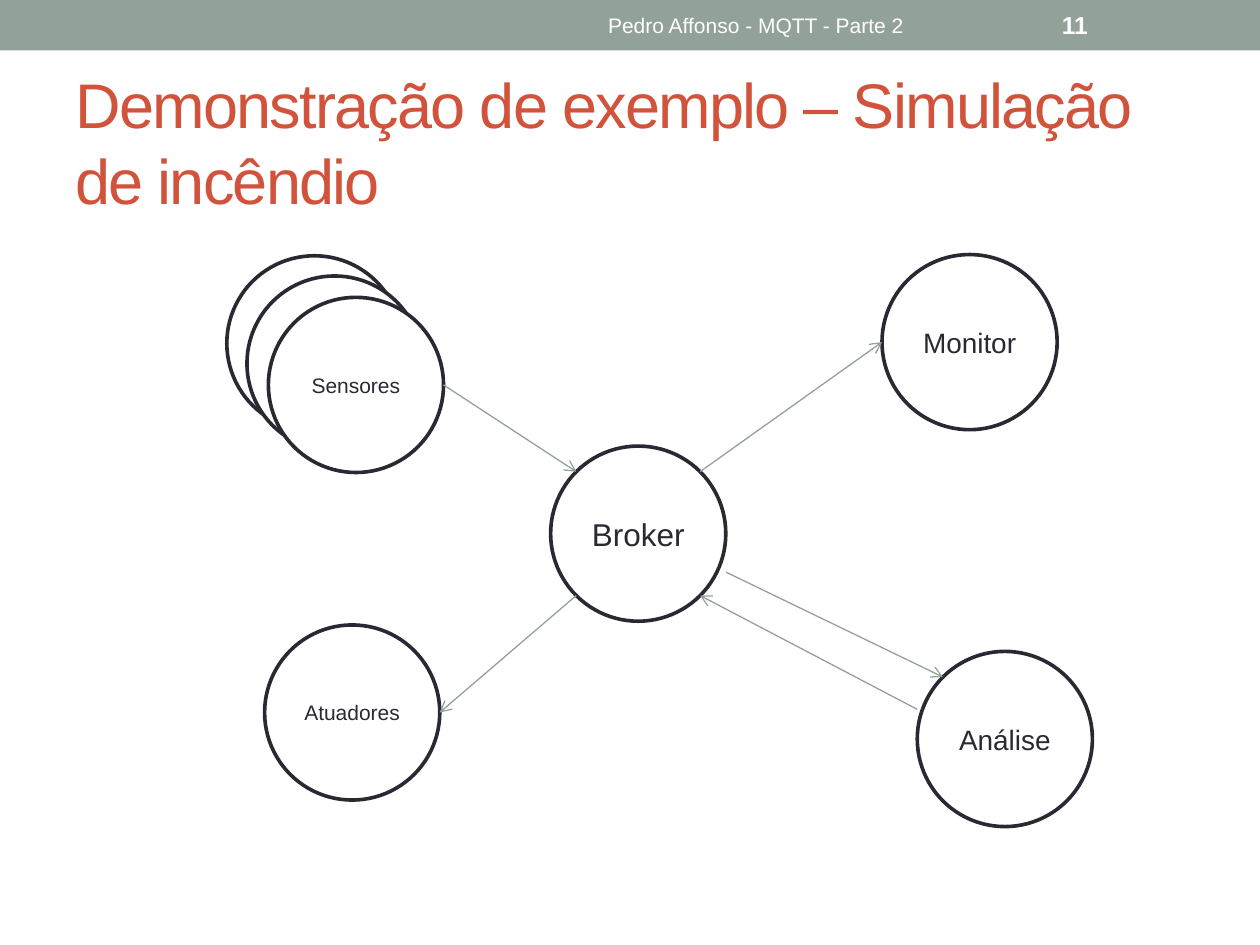
import math

import pptx
import pptx.dml.color
import pptx.enum.shapes
import pptx.enum.text
import pptx.oxml
import pptx.oxml.ns
import pptx.util
from pptx.util import Inches

SAGE = pptx.dml.color.RGBColor(0x93, 0xA2, 0x99)
RUST = pptx.dml.color.RGBColor(0xD2, 0x53, 0x3C)
INK = pptx.dml.color.RGBColor(0x29, 0x29, 0x34)
WHITE = pptx.dml.color.RGBColor(0xFF, 0xFF, 0xFF)

DIAMETER = 1.39
SHAPE = pptx.enum.shapes.MSO_SHAPE
ALIGN = pptx.enum.text.PP_ALIGN


class SlideBuilder:
    font = "Arial"

    def __init__(self, page):
        self.page = page

    def fill_frame(self, frame, text, size, color, align, bold=False):
        frame.word_wrap = True
        frame.vertical_anchor = pptx.enum.text.MSO_ANCHOR.MIDDLE
        para = frame.paragraphs[0]
        para.text = text
        para.alignment = align
        para.font.name = self.font
        para.font.size = pptx.util.Pt(size)
        para.font.color.rgb = color
        para.font.bold = bold
        return para

    def text(self, left, top, width, height, text, size, color,
             align=ALIGN.LEFT, bold=False):
        box = self.page.shapes.add_textbox(
            Inches(left), Inches(top), Inches(width), Inches(height))
        return self.fill_frame(box.text_frame, text, size, color, align, bold)

    def band(self, width, height):
        band = self.page.shapes.add_shape(
            SHAPE.RECTANGLE, 0, 0, Inches(width), Inches(height))
        band.shadow.inherit = False
        band.fill.solid()
        band.fill.fore_color.rgb = SAGE
        band.line.fill.background()

    def circle(self, left, top, label="", size=12):
        circle = self.page.shapes.add_shape(
            SHAPE.OVAL, Inches(left), Inches(top),
            Inches(DIAMETER), Inches(DIAMETER))
        circle.shadow.inherit = False
        circle.fill.solid()
        circle.fill.fore_color.rgb = WHITE
        circle.line.color.rgb = INK
        circle.line.width = pptx.util.Pt(2.08)
        if label:
            self.fill_frame(circle.text_frame, label, size, INK, ALIGN.CENTER)

    def arrow(self, start, end):
        arrow = self.page.shapes.add_connector(
            pptx.enum.shapes.MSO_CONNECTOR.STRAIGHT,
            *(Inches(value) for value in (*start, *end)))
        arrow.line.color.rgb = SAGE
        arrow.line.width = pptx.util.Pt(0.75)
        properties = arrow._element.spPr
        namespace = pptx.oxml.ns.nsdecls("a")
        properties.find(pptx.oxml.ns.qn("a:ln")).append(
            pptx.oxml.parse_xml(f'<a:tailEnd {namespace} type="arrow"/>'))
        properties.append(pptx.oxml.parse_xml(f"<a:effectLst {namespace}/>"))


def rim(corner, degrees):
    """Point on a circle's edge, clockwise from its right side."""
    radius = DIAMETER / 2
    angle = math.radians(degrees)
    return (corner[0] + radius * (1 + math.cos(angle)),
            corner[1] + radius * (1 + math.sin(angle)))


def main():
    deck = pptx.Presentation()
    deck.slide_width, deck.slide_height = Inches(10), Inches(7.5)
    builder = SlideBuilder(deck.slides.add_slide(deck.slide_layouts[6]))

    builder.band(10, 0.4)
    title = builder.text(0.5, 0.58, 9, 1.08,
                         "Demonstração de exemplo – Simulação de incêndio",
                         36, RUST)
    title.runs[0].font._element.set("spc", "-100")
    builder.text(3.75, 0.02, 4.5, 0.36, "Pedro Affonso - MQTT - Parte 2",
                 12, WHITE, ALIGN.CENTER)
    builder.text(8.33, 0.02, 1.17, 0.36, "11", 14, WHITE, bold=True)

    sensors, actuators = (2.13, 2.36), (2.1, 4.96)
    monitor, analysis, broker = (7, 2.02), (7.28, 5.17), (4.37, 3.54)

    for offset in (0.33, 0.17):
        builder.circle(sensors[0] - offset, sensors[1] - offset)
    for corner, label, size in (
            (sensors, "Sensores", 12),
            (actuators, "Atuadores", 12),
            (monitor, "Monitor", 16),
            (analysis, "Análise", 16),
            (broker, "Broker", 18)):
        builder.circle(*corner, label, size)

    for start, end in (
            (rim(sensors, 0), rim(broker, 225)),
            (rim(broker, 135), rim(actuators, 0)),
            ((5.76, 4.54), rim(analysis, 225)),
            ((7.28, 5.63), rim(broker, 45)),
            (rim(broker, 315), rim(monitor, 180))):
        builder.arrow(start, end)

    deck.save("out.pptx")


if __name__ == "__main__":
    main()
